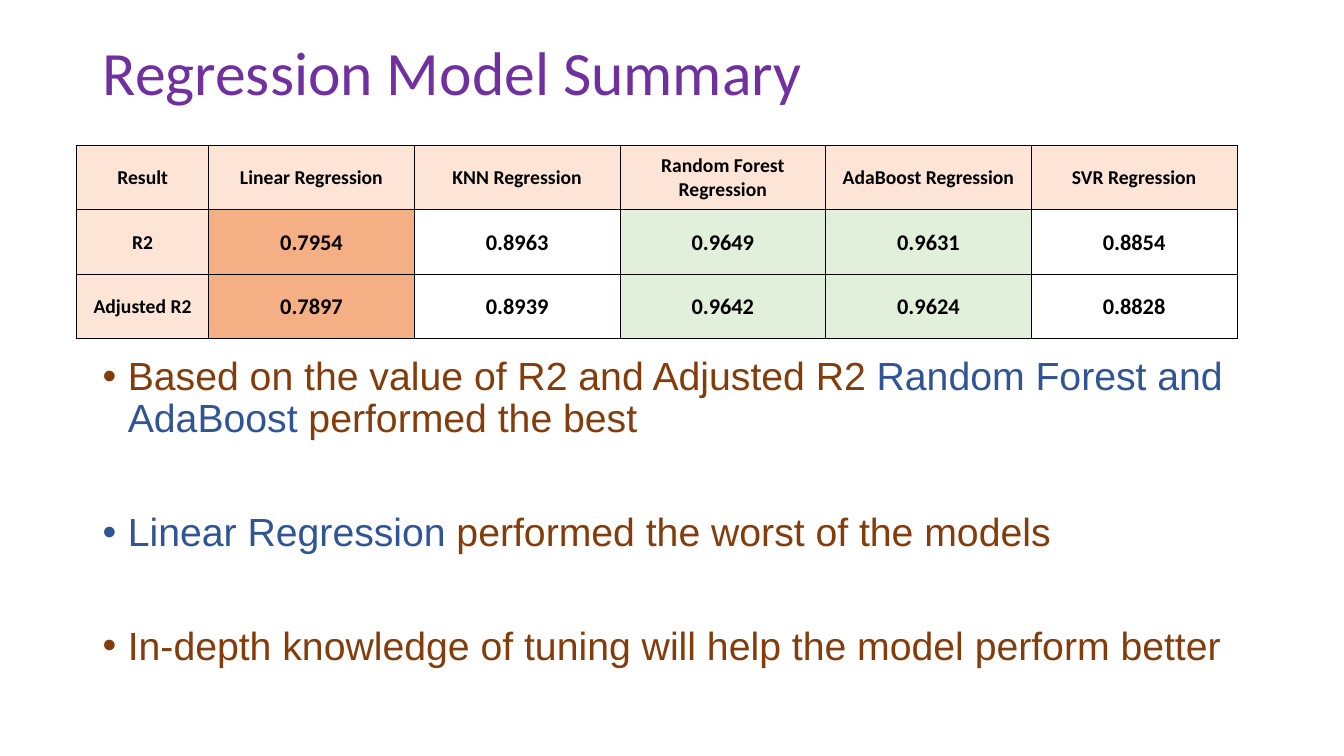
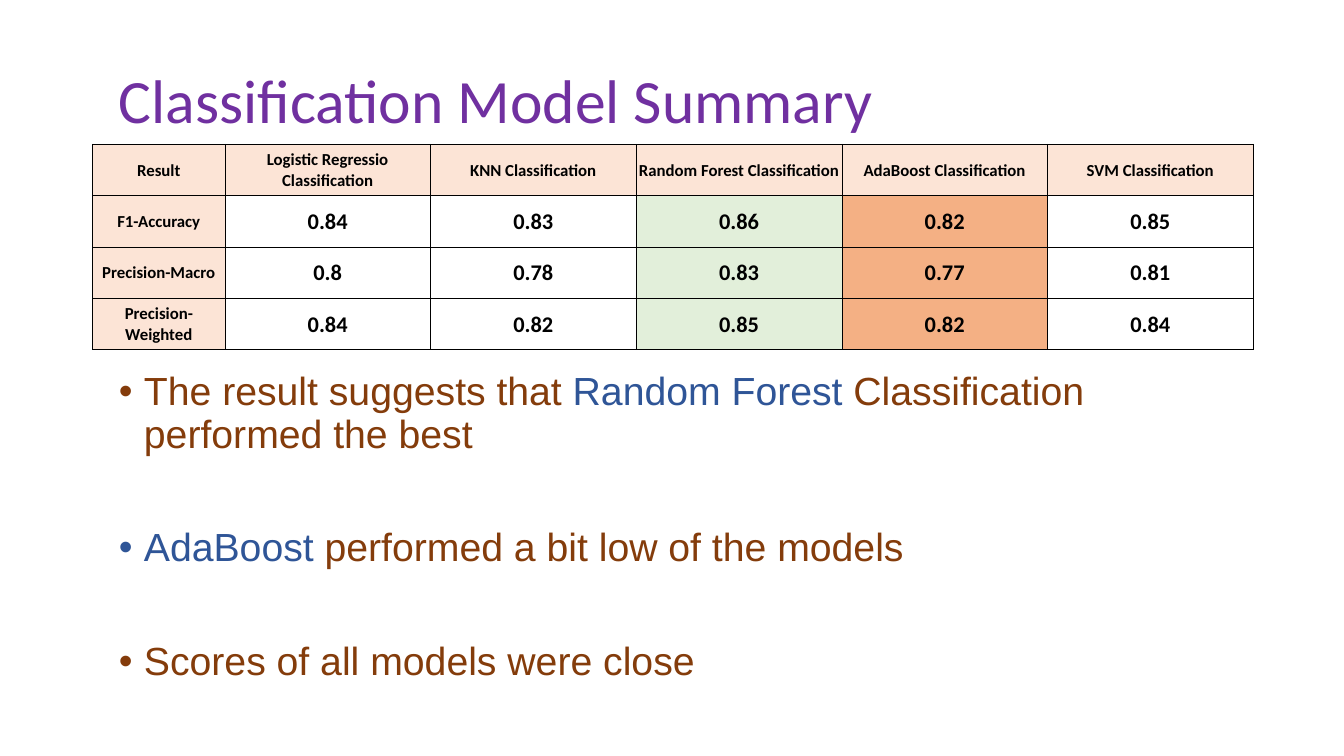
"""Build two slides that summarise regression and classification model scores."""
from dataclasses import dataclass

from pptx import Presentation
from pptx.dml.color import RGBColor as RGB
from pptx.enum.text import MSO_ANCHOR as Anchor, PP_ALIGN as Align
from pptx.oxml import parse_xml
from pptx.oxml.ns import nsdecls
from pptx.util import Emu, Inches, Pt


@dataclass(frozen=True)
class Theme:
    title_font: str = "Calibri"
    body_font: str = "Arial"
    title: str = "7030A0"
    body: str = "843C0B"
    accent: str = "2F5597"
    ink: str = "000000"
    label: str = "FCE4D6"
    best: str = "E2EFDA"
    worst: str = "F4B084"
    title_pt: float = 44
    body_pt: float = 28
    score_pt: float = 16
    border_pt: float = 0.5
    line_spacing: float = 0.9
    first_gap_pt: float = 10
    bullet_gap_pt: float = 51


@dataclass(frozen=True)
class Span:
    text: str
    accent: bool = False


@dataclass(frozen=True)
class Summary:
    title: str
    left: float
    title_top: float
    table_top: float
    body_top: float
    body_height: float
    row_height: float
    label_pt: float
    rows: list[list[str]]
    best: set[int]
    worst: set[int]
    bullets: list[list[Span]]


T = Theme()
WIDTH = 11.5
TABLE_SHIFT = 0.16
COL_WIDTHS = [1.31] + [2.04] * 5

SUMMARIES = [
    Summary(
        "Regression Model Summary", 0.92, 0.02, 1.44, 3.49, 3.27, 0.64, 14,
        [
            ["Result", "Linear Regression", "KNN Regression", "Random Forest Regression",
             "AdaBoost Regression", "SVR Regression"],
            ["R2", "0.7954", "0.8963", "0.9649", "0.9631", "0.8854"],
            ["Adjusted R2", "0.7897", "0.8939", "0.9642", "0.9624", "0.8828"],
        ],
        {3, 4}, {1},
        [
            [Span("Based on the value of R2 and Adjusted R2 "),
             Span("Random Forest and AdaBoost", True), Span(" performed the best")],
            [Span("Linear Regression ", True), Span("performed the worst of the models")],
            [Span("In-depth knowledge of tuning will help the model perform better")],
        ],
    ),
    Summary(
        "Classification Model Summary", 1.08, 0.3, 1.43, 3.64, 3.44, 0.51, 12,
        [
            ["Result", "Logistic Regressio Classification", "KNN Classification",
             "Random Forest Classification", "AdaBoost Classification", "SVM Classification"],
            ["F1-Accuracy", "0.84", "0.83", "0.86", "0.82", "0.85"],
            ["Precision-Macro", "0.8", "0.78", "0.83", "0.77", "0.81"],
            ["Precision-Weighted", "0.84", "0.82", "0.85", "0.82", "0.84"],
        ],
        {3}, {4},
        [
            [Span("The result suggests that "), Span("Random Forest", True),
             Span(" Classification performed the best")],
            [Span("AdaBoost", True), Span(" performed a bit low of the models")],
            [Span("Scores of all models were close")],
        ],
    ),
]


def add_run(p, text: str, font: str, size: float, color: str, bold: bool = False) -> None:
    r = p.add_run()
    r.text = text
    r.font.name, r.font.size, r.font.bold = font, Pt(size), bold
    r.font.color.rgb = RGB.from_string(color)


def add_text_frame(s, left: float, top: float, height: float, anchor: Anchor):
    tf = s.shapes.add_textbox(Inches(left), Inches(top), Inches(WIDTH), Inches(height)).text_frame
    tf.word_wrap = True
    tf.vertical_anchor = anchor
    return tf


def add_title(s, summary: Summary) -> None:
    tf = add_text_frame(s, summary.left, summary.title_top, 1.45, Anchor.MIDDLE)
    p = tf.paragraphs[0]
    p.line_spacing = T.line_spacing
    add_run(p, summary.title, T.title_font, T.title_pt, T.title)


def add_bullets(s, summary: Summary) -> None:
    tf = add_text_frame(s, summary.left, summary.body_top, summary.body_height, Anchor.TOP)
    for i, spans in enumerate(summary.bullets):
        p = tf.add_paragraph() if i else tf.paragraphs[0]
        p.line_spacing = T.line_spacing
        p.space_before = Pt(T.bullet_gap_pt if i else T.first_gap_pt)
        ppr = p._p.get_or_add_pPr()
        ppr.set("marL", str(Inches(0.25)))
        ppr.set("indent", str(-Inches(0.25)))
        ppr.append(parse_xml(f'<a:buFont {nsdecls("a")} typeface="{T.body_font}"/>'))
        ppr.append(parse_xml(f'<a:buChar {nsdecls("a")} char="•"/>'))
        for span in spans:
            add_run(p, span.text, T.body_font, T.body_pt, T.accent if span.accent else T.body)


def add_borders(cell) -> None:
    tcpr = cell._tc.get_or_add_tcPr()
    for side in ("lnL", "lnR", "lnT", "lnB"):
        tcpr.append(parse_xml(
            f'<a:{side} {nsdecls("a")} w="{Pt(T.border_pt)}"><a:solidFill>'
            f'<a:srgbClr val="{T.ink}"/></a:solidFill></a:{side}>'))


def cell_fill(summary: Summary, row: int, col: int) -> str | None:
    if row == 0 or col == 0:
        return T.label
    if col in summary.best:
        return T.best
    return T.worst if col in summary.worst else None


def add_score_table(s, summary: Summary) -> None:
    count = len(summary.rows)
    table = s.shapes.add_table(
        count, len(COL_WIDTHS), Inches(summary.left - TABLE_SHIFT), Inches(summary.table_top),
        Inches(sum(COL_WIDTHS)), Inches(summary.row_height * count)).table
    table.first_row = table.horz_banding = False
    for column, width in zip(table.columns, COL_WIDTHS):
        column.width = Inches(width)
    for i, texts in enumerate(summary.rows):
        table.rows[i].height = Inches(summary.row_height)
        for j, text in enumerate(texts):
            cell = table.cell(i, j)
            cell.margin_left = cell.margin_right = cell.margin_top = Inches(0.01)
            cell.margin_bottom = Emu(0)
            cell.vertical_anchor = Anchor.MIDDLE
            add_borders(cell)
            color = cell_fill(summary, i, j)
            if color:
                cell.fill.solid()
                cell.fill.fore_color.rgb = RGB.from_string(color)
            else:
                cell.fill.background()
            p = cell.text_frame.paragraphs[0]
            p.alignment = Align.CENTER
            size = T.score_pt if i and j else summary.label_pt
            add_run(p, text, T.title_font, size, T.ink, bold=True)


def main() -> None:
    prs = Presentation()
    prs.slide_width, prs.slide_height = Inches(13.33), Inches(7.5)
    for summary in SUMMARIES:
        s = prs.slides.add_slide(prs.slide_layouts[6])
        add_title(s, summary)
        add_bullets(s, summary)
        add_score_table(s, summary)
    prs.save("out.pptx")


if __name__ == "__main__":
    main()
